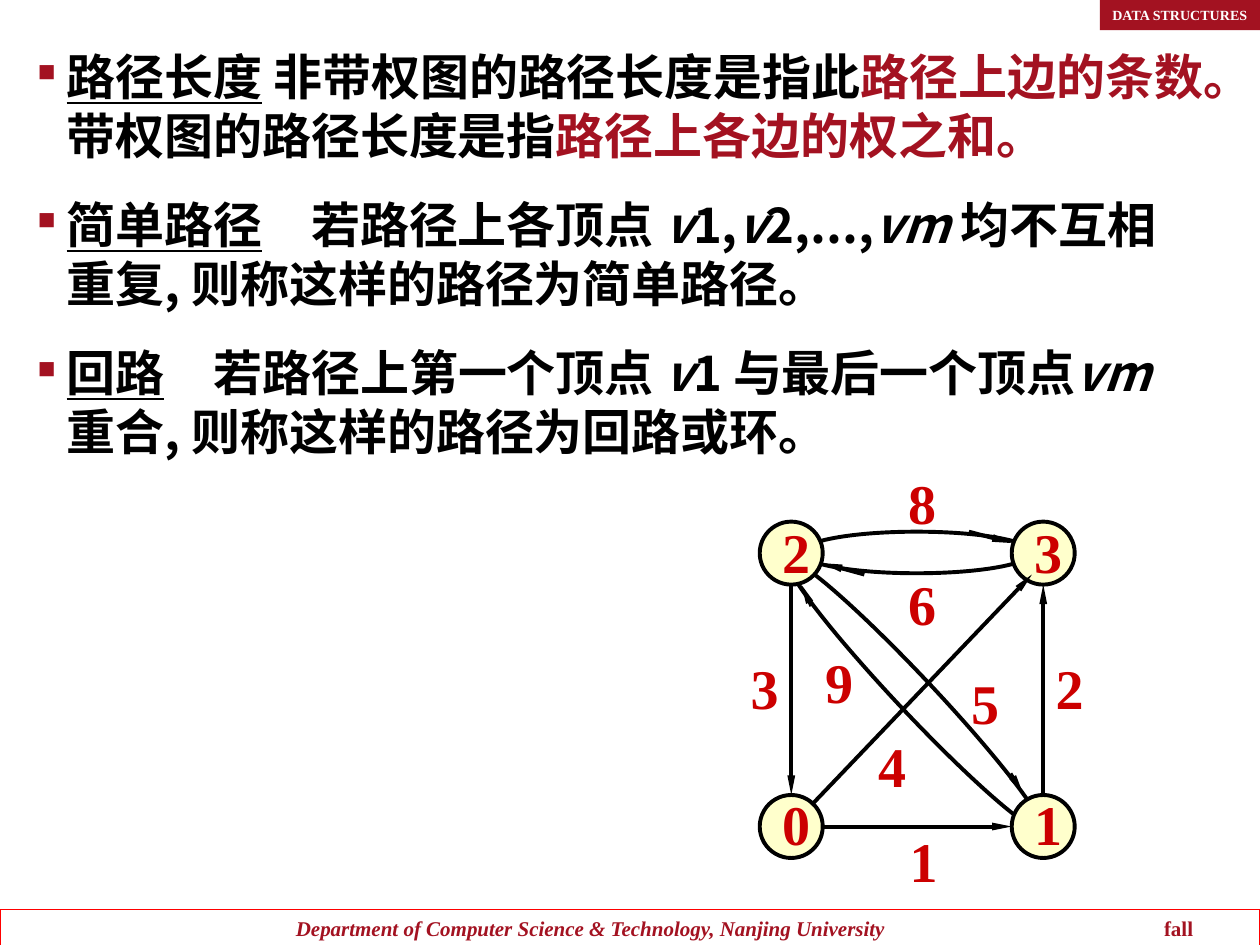
from lxml import etree
from pptx import Presentation
from pptx import util as u
from pptx.dml.color import RGBColor
from pptx.enum import shapes, text
from pptx.oxml import ns

Inches, Pt = u.Inches, u.Pt
COLORS = {"red": "A31221", "digit": "CC0000", "frame": "FF0000",
          "node": "FFFFCC", "black": "000000", "white": "FFFFFF"}
SERIF, SANS = "Times New Roman", "Noto Sans CJK SC"


def add_run(para, words, size, font, color, italic=False, under=False):
    run = para.add_run()
    run.text = words
    face = run.font
    face.size, face.name, face.bold = Pt(size), font, True
    face.italic, face.underline = italic, under
    face.color.rgb = RGBColor.from_string(COLORS[color])
    east = etree.SubElement(run._r.get_or_add_rPr(), ns.qn("a:ea"))
    east.set("typeface", font)


def add_shape(kind, box, fill=None, line=None, width=2.25):
    shape = slide.shapes.add_shape(kind, *map(Inches, box))
    shape.shadow.inherit = False
    if fill:
        shape.fill.solid()
        shape.fill.fore_color.rgb = RGBColor.from_string(COLORS[fill])
    else:
        shape.fill.background()
    if line:
        shape.line.color.rgb = RGBColor.from_string(COLORS[line])
        shape.line.width = Pt(width)
    else:
        shape.line.fill.background()
    return shape


deck = Presentation()
deck.slide_width, deck.slide_height = Inches(10), Inches(7.5)
slide = deck.slides.add_slide(deck.slide_layouts[6])
rect, oval = shapes.MSO_SHAPE.RECTANGLE, shapes.MSO_SHAPE.OVAL

# Footer and course tag
foot = add_shape(rect, (0, 7.22, 10, 0.3), line="frame", width=0.75)
para = foot.text_frame.paragraphs[0]
para.alignment = text.PP_ALIGN.LEFT
tabs = etree.SubElement(para._p.get_or_add_pPr(), ns.qn("a:tabLst"))
for stop in (2.25, 9.14):
    etree.SubElement(tabs, ns.qn("a:tab"), pos=str(Inches(stop)), algn="l")
dept = "\tDepartment of Computer Science & Technology, Nanjing University"
add_run(para, dept, 12, SERIF, "red", italic=True)
add_run(para, "\tfall", 12, SERIF, "red")

tag = add_shape(rect, (8.73, 0, 1.33, 0.24), fill="red")
para = tag.text_frame.paragraphs[0]
para.alignment = text.PP_ALIGN.LEFT
add_run(para, "DATA STRUCTURES", 8, SERIF, "white")

# Definitions: term, then (words, style) parts
ITEMS = [
    ("路径长度", [(" 非带权图的路径长度是指此", ""), ("路径上边的条数。", "red"),
              ("带权图的路径长度是指", ""), ("路径上各边的权之和。", "red")]),
    ("简单路径", [("　若路径上各顶点 ", ""), ("v", "italic"), ("1,", ""),
              ("v", "italic"), ("2,...,", ""), ("vm ", "italic"),
              ("均不互相重复, 则称这样的路径为简单路径。", "")]),
    ("回路", [("　若路径上第一个顶点 ", ""), ("v", "italic"),
            ("1 与最后一个顶点", ""), ("vm ", "italic"),
            ("重合, 则称这样的路径为回路或环。", "")]),
]
body = slide.shapes.add_textbox(Inches(0.2), Inches(0.32), Inches(9.45), Inches(3.39))
frame = body.text_frame
frame.word_wrap = True
for i, (term, parts) in enumerate(ITEMS):
    para = frame.add_paragraph() if i else frame.paragraphs[0]
    para.line_spacing = Pt(33.6)
    if i:
        para.space_before = Pt(17.5)
    props = para._p.get_or_add_pPr()
    props.set("marL", str(Inches(0.23)))
    props.set("indent", str(-Inches(0.23)))
    tint = etree.SubElement(props, ns.qn("a:buClr"))
    etree.SubElement(tint, ns.qn("a:srgbClr"), val=COLORS["red"])
    etree.SubElement(props, ns.qn("a:buSzPct"), val="50000")
    etree.SubElement(props, ns.qn("a:buChar"), char="■")
    add_run(para, term, 28, SANS, "black", under=True)
    for words, style in parts:
        color = "red" if style == "red" else "black"
        add_run(para, words, 28, SANS, color, italic=style == "italic")

# Curved edges are the rims of flat ellipses behind the nodes
curve = add_shape(oval, (5.8, 5.37, 2.92, 0.29), line="black")
curve.rotation = 46.7
add_shape(oval, (6.36, 4.22, 1.83, 0.33), line="black")

for top in (4.14, 6.31):
    for left in (6.03, 8.03):
        add_shape(oval, (left, top, 0.5, 0.5), fill="node", line="black")

# Straight edges, then the short arrow tips of the curves
EDGES = [
    (6.28, 4.64, 6.28, 6.31), (8.28, 6.31, 8.28, 4.64),
    (6.53, 6.56, 8.03, 6.56), (6.44, 6.39, 8.19, 4.56),
    (6.44, 4.81, 6.36, 4.64), (8.02, 6.14, 8.12, 6.3),
    (7.69, 4.22, 8.03, 4.31), (6.86, 4.56, 6.53, 4.47),
]
for ends in EDGES:
    edge = slide.shapes.add_connector(shapes.MSO_CONNECTOR.STRAIGHT, *map(Inches, ends))
    edge.line.color.rgb = RGBColor.from_string(COLORS["black"])
    edge.line.width = Pt(2.25)
    etree.SubElement(edge.line._get_or_add_ln(), ns.qn("a:tailEnd"),
                     type="triangle", w="sm", len="lg")
    etree.SubElement(edge._element.spPr, ns.qn("a:effectLst"))

# Edge weights, then node numbers
DIGITS = [
    ("8", 7.11, 3.67), ("1", 7.12, 6.51), ("6", 7.11, 4.47), ("3", 5.86, 5.14),
    ("2", 8.28, 5.14), ("9", 6.45, 5.09), ("5", 7.61, 5.26), ("4", 6.87, 5.76),
    ("2", 6.11, 4.06), ("0", 6.11, 6.22), ("3", 8.11, 4.06), ("1", 8.11, 6.22),
]
for digit, left, top in DIGITS:
    box = slide.shapes.add_textbox(Inches(left), Inches(top), Inches(0.42), Inches(0.64))
    box.text_frame.word_wrap = False
    add_run(box.text_frame.paragraphs[0], digit, 32, SERIF, "digit")

deck.save("out.pptx")
